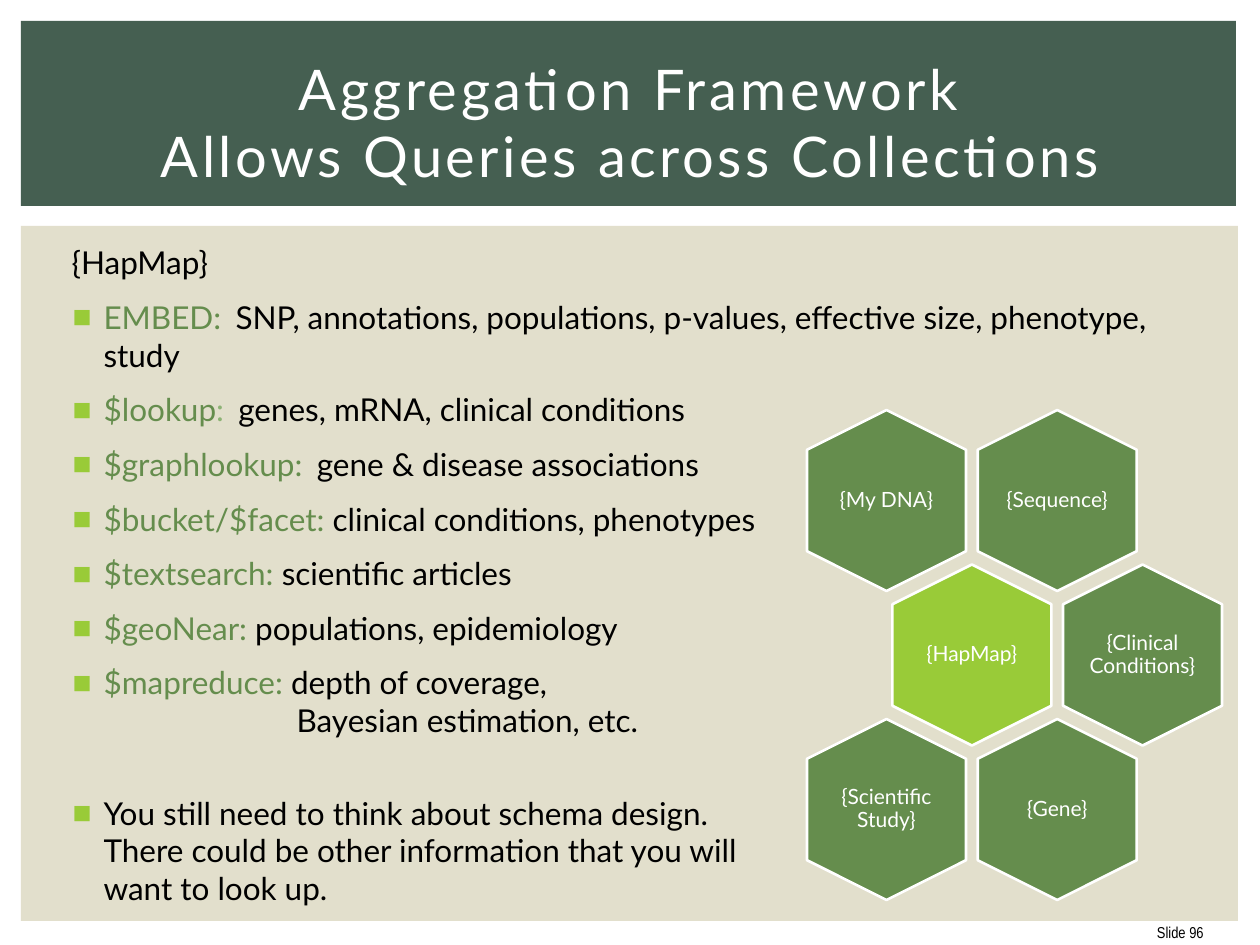
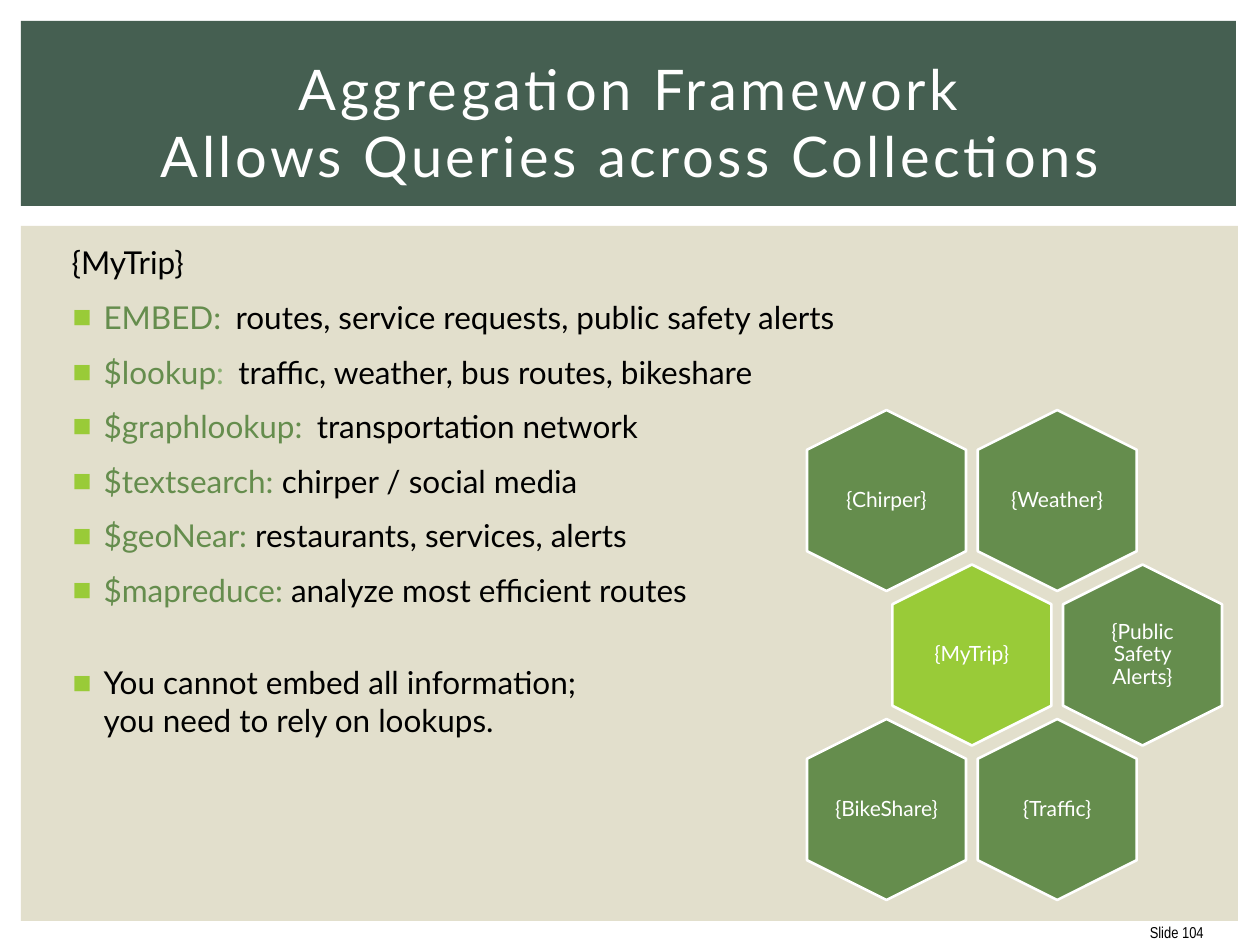
from lxml import etree
from pptx import Presentation
from pptx.dml.color import RGBColor
from pptx.enum.shapes import MSO_SHAPE
from pptx.enum.text import MSO_ANCHOR, MSO_AUTO_SIZE, PP_ALIGN
from pptx.oxml.ns import qn
from pptx.util import Pt

RECTANGLE, HEXAGON = MSO_SHAPE.RECTANGLE, MSO_SHAPE.HEXAGON
MIDDLE, TOP = MSO_ANCHOR.MIDDLE, MSO_ANCHOR.TOP
LEFT, CENTER, RIGHT = PP_ALIGN.LEFT, PP_ALIGN.CENTER, PP_ALIGN.RIGHT
NO_AUTOFIT = MSO_AUTO_SIZE.NONE

PX_PER_INCH = 126
SLIDE_SIZE = (1260, 945)

# Shared colours and fonts
BLACK, WHITE = "000000", "FFFFFF"
BAND, PANEL = "455F51", "E2DFCC"
LEAF, LIME, PALE_LEAF = "658D4D", "99CB38", "8DB375"
TEXT_FONT, FOOTER_FONT = "Lato", "Arial Narrow"

# Shared boxes: left, top, width, height in px
PANEL_BOX = (21, 226, 1217, 695)
BAND_BOX = (21, 21, 1215, 185)
FOOTER_BOX = (1135, 914, 81, 37)
BODY_BOX = (53, 237, 1158, 607)
TITLE_BOX = (53, 49, 1155, 145)
HONEYCOMB_BOX = (807, 410, 415, 490)

TITLE = "Aggregation Framework\nAllows Queries across Collections"
BODY_SIZE = 18
SPACE_BEFORE, SPACE_AFTER = 3.6, 6
SECTION_SPACE = 25.2
BULLET_INDENT, HEADING_INDENT, HANGING = 38, 6, 31
CONTINUATION_INDENT = 231

# List items: label, colour of its colon, extra gap after it in points, text
SLIDES = [
    {
        "number": 96,
        "collection": "{HapMap}",
        "items": [
            ("EMBED", LEAF, 3.5, "SNP, annotations, populations, p-values, "
                                 "effective size, phenotype, study"),
            ("$lookup", PALE_LEAF, 3.5, "genes, mRNA, clinical conditions"),
            ("$graphlookup", LEAF, 3.5, "gene & disease associations"),
            ("$bucket/$facet", LEAF, 0, "clinical conditions, phenotypes"),
            ("$textsearch", LEAF, 0, "scientific articles"),
            ("$geoNear", LEAF, 0, "populations, epidemiology"),
            ("$mapreduce", LEAF, 0, "depth of coverage,"),
        ],
        "continuation": "Bayesian estimation, etc.",
        "advice": "You still need to think about schema design.\n"
                  "There could be other information that you will\n"
                  "want to look up.",
        "neighbours": ["{My DNA}", "{Sequence}", "{Clinical Conditions}",
                       "{Scientific Study}", "{Gene}"],
    },
    {
        "number": 104,
        "collection": "{MyTrip}",
        "items": [
            ("EMBED", LEAF, 3.5, "routes, service requests, public safety alerts"),
            ("$lookup", PALE_LEAF, 3.5, "traffic, weather, bus routes, bikeshare"),
            ("$graphlookup", LEAF, 3.5, "transportation network"),
            ("$textsearch", LEAF, 0, "chirper / social media"),
            ("$geoNear", LEAF, 0, "restaurants, services, alerts"),
            ("$mapreduce", LEAF, 0, "analyze most efficient routes"),
        ],
        "continuation": None,
        "advice": "You cannot embed all information;\nyou need to rely on lookups.",
        "neighbours": ["{Chirper}", "{Weather}", "{Public Safety Alerts}",
                       "{BikeShare}", "{Traffic}"],
    },
]


def px(length):
    return round(length * 914400 / PX_PER_INCH)


def emu_box(box):
    return [px(length) for length in box]


def color(hex_string):
    return RGBColor.from_string(hex_string)


def set_font(font, size, hex_color, name=TEXT_FONT):
    font.name, font.size = name, Pt(size)
    font.color.rgb = color(hex_color)


def add_run(paragraph, text, hex_color=None, spacing=0):
    run = paragraph.add_run()
    run.text = text
    if hex_color:
        run.font.color.rgb = color(hex_color)
    if spacing:
        run._r.get_or_add_rPr().set("spc", str(round(spacing * 100)))


def add_lines(paragraph, text, spacing=0):
    for index, line in enumerate(text.split("\n")):
        if index:
            paragraph.add_line_break()
        add_run(paragraph, line, spacing=spacing)


def add_filled_shape(shapes, kind, box, fill):
    shape = shapes.add_shape(kind, *emu_box(box))
    shape.shadow.inherit = False
    shape.fill.solid()
    shape.fill.fore_color.rgb = color(fill)
    shape.line.fill.background()
    return shape


def add_label(shapes, box, text, alignment, size, hex_color, font_name=TEXT_FONT):
    label = shapes.add_textbox(*emu_box(box))
    frame = label.text_frame
    frame.word_wrap, frame.vertical_anchor = True, MIDDLE
    frame.margin_left = 0
    paragraph = frame.paragraphs[0]
    paragraph.alignment = alignment
    set_font(paragraph.font, size, hex_color, font_name)
    add_run(paragraph, text)
    return label


def place_placeholder(placeholder, box, anchor):
    """Moves a placeholder to its box, in front of the parts drawn so far."""
    placeholder.left, placeholder.top, placeholder.width, placeholder.height = emu_box(box)
    element = placeholder.element
    element.getparent().append(element)
    frame = placeholder.text_frame
    frame.auto_size, frame.vertical_anchor, frame.word_wrap = NO_AUTOFIT, anchor, True
    return frame


def format_list_paragraph(paragraph, indent, before, after=SPACE_AFTER, bullet=True):
    paragraph.alignment = LEFT
    paragraph.space_before, paragraph.space_after = Pt(before), Pt(after)
    properties = paragraph._p.get_or_add_pPr()
    properties.set("marL", str(px(indent)))
    properties.set("indent", str(px(-HANGING if bullet else 0)))
    if bullet:
        bullet_color = etree.SubElement(properties, qn("a:buClr"))
        etree.SubElement(bullet_color, qn("a:srgbClr"), val=LIME)
        etree.SubElement(properties, qn("a:buChar"), char="■")
    else:
        etree.SubElement(properties, qn("a:buNone"))
    set_font(paragraph.font, BODY_SIZE, BLACK)


def draw_frame(slide, number):
    # Panel, title band and slide number
    add_filled_shape(slide.shapes, RECTANGLE, PANEL_BOX, PANEL)
    add_filled_shape(slide.shapes, RECTANGLE, BAND_BOX, BAND)
    add_label(slide.shapes, FOOTER_BOX, f"Slide {number}", RIGHT, 9, BLACK, FOOTER_FONT)


def fill_title(slide, box):
    paragraph = place_placeholder(slide.shapes.title, box, MIDDLE).paragraphs[0]
    paragraph.alignment = CENTER
    set_font(paragraph.font, 32, WHITE)
    add_lines(paragraph, TITLE, spacing=2)


def fill_body(slide, box, content):
    frame = place_placeholder(slide.placeholders[1], box, TOP)

    # Name of the collection
    heading = frame.paragraphs[0]
    format_list_paragraph(heading, HEADING_INDENT, 0, bullet=False)
    add_run(heading, content["collection"])

    # Operators
    continuation = content["continuation"]
    for item in content["items"]:
        label, colon_color, gap, text = item
        continues = continuation and item is content["items"][-1]
        paragraph = frame.add_paragraph()
        format_list_paragraph(paragraph, BULLET_INDENT, SPACE_BEFORE,
                              0 if continues else SPACE_AFTER)
        add_run(paragraph, label, LEAF)
        add_run(paragraph, ":", colon_color)
        add_run(paragraph, " ", spacing=gap)
        add_run(paragraph, text)
    if continuation:
        paragraph = frame.add_paragraph()
        format_list_paragraph(paragraph, CONTINUATION_INDENT, 0, bullet=False)
        add_run(paragraph, continuation)

    # Closing advice
    advice = frame.add_paragraph()
    format_list_paragraph(advice, BULLET_INDENT, SECTION_SPACE)
    add_lines(advice, content["advice"])


def draw_honeycomb(slide, box, center_name, neighbours):
    """Draws three rows of two cells, with the middle row half a cell to the right."""
    left, top, width, height = box
    cell_width, cell_height = 159, 181
    column_step = (width - cell_width) * 2 / 3
    row_step = (height - cell_height) / 2
    text_width, text_height = 108, 125
    names = neighbours[:2] + [center_name] + neighbours[2:]
    cells = slide.shapes.add_group_shape().shapes
    for index, name in enumerate(names):
        row, column = divmod(index, 2)
        center_x = left + cell_width / 2 + (column + row % 2 / 2) * column_step
        center_y = top + cell_height / 2 + row * row_step

        # The hexagon is turned, so its width and height change places
        cell_box = (center_x - cell_height / 2, center_y - cell_width / 2,
                    cell_height, cell_width)
        cell = add_filled_shape(cells, HEXAGON, cell_box,
                                LIME if name == center_name else LEAF)
        cell.rotation = 90
        cell.adjustments[0] = 0.25
        cell.line.color.rgb = color(WHITE)
        cell.line.width = Pt(1.5)

        text_box = (center_x - text_width / 2, center_y - text_height / 2,
                    text_width, text_height)
        label = add_label(cells, text_box, name, CENTER, 12, WHITE)
        label.text_frame.margin_right = 0
        label.text_frame.paragraphs[0].line_spacing = 0.9


def build_slide(presentation, content):
    slide = presentation.slides.add_slide(presentation.slide_layouts[1])
    draw_frame(slide, content["number"])
    fill_body(slide, BODY_BOX, content)
    fill_title(slide, TITLE_BOX)
    draw_honeycomb(slide, HONEYCOMB_BOX, content["collection"], content["neighbours"])


def main():
    presentation = Presentation()
    presentation.slide_width, presentation.slide_height = (px(side) for side in SLIDE_SIZE)
    for content in SLIDES:
        build_slide(presentation, content)
    presentation.save("out.pptx")


if __name__ == "__main__":
    main()
